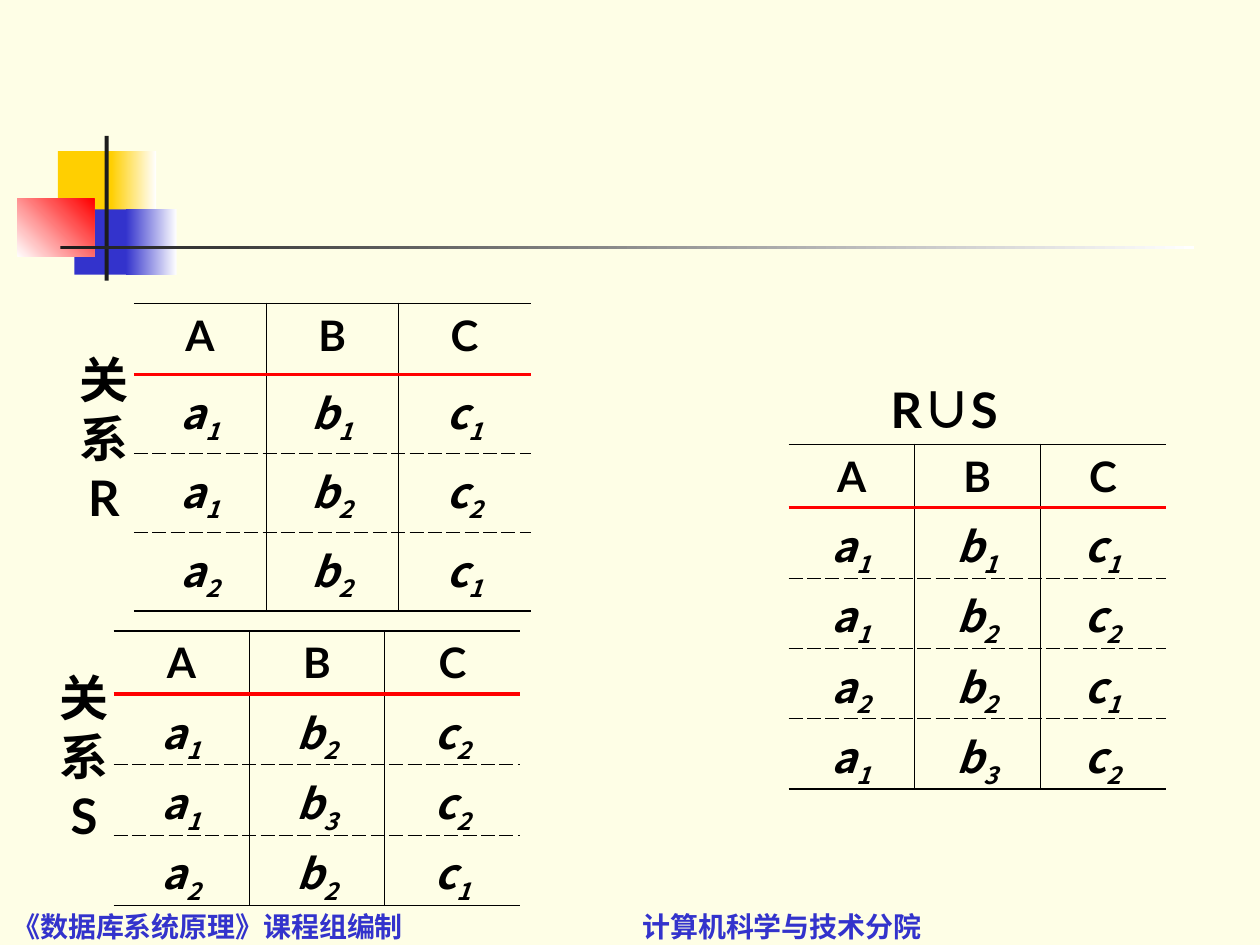
from dataclasses import dataclass

from lxml import etree
from pptx import Presentation
from pptx.dml.color import RGBColor
from pptx.enum.shapes import MSO_SHAPE
from pptx.enum.text import MSO_ANCHOR, PP_ALIGN
from pptx.oxml.ns import qn
from pptx.util import Cm, Pt

RECT = MSO_SHAPE.RECTANGLE
CENTER = PP_ALIGN.CENTER
LEFT = PP_ALIGN.LEFT
BOTTOM = MSO_ANCHOR.BOTTOM
BLANK_LAYOUT = 6
NO_STYLE_NO_GRID = "{2D5ABB26-0587-4C30-8999-92F81FD0307C}"


@dataclass(frozen=True)
class Theme:
    paper: str = "FEFEE6"
    ink: str = "000000"
    charcoal: str = "1C1C1C"
    white: str = "FFFFFF"
    yellow: str = "FFCF01"
    blue: str = "3333CC"
    red: str = "FF0000"
    latin: str = "Lato"
    symbol: str = "Noto Sans CJK KR"
    chinese: str = "Noto Sans CJK SC"
    label_size: int = 28
    cell_size: int = 24
    footer_size: int = 16


THEME = Theme()

# Border kinds: colour, width in points, dash
OUTER = (THEME.ink, 1.08, "solid")
HEAD_RULE = (THEME.red, 2.21, "solid")
ROW_RULE = (THEME.ink, 0.45, "dash")
COL_RULE = (THEME.ink, 0.45, "solid")


def rgb(value):
    return RGBColor.from_string(value)


def set_font(p, size, name, color=THEME.ink, italic=None):
    font = p.font
    font.size, font.name, font.bold, font.italic = Pt(size), name, True, italic
    font.color.rgb = rgb(color)


def add_block(slide, box, start, end=None, angle=0):
    """Rectangle filled with one colour, or fading from start to end."""
    sp = slide.shapes.add_shape(RECT, *map(Cm, box))
    sp.shadow.inherit = False
    sp.line.fill.background()
    if end is None:
        sp.fill.solid()
        sp.fill.fore_color.rgb = rgb(start)
        return
    sp.fill.gradient()
    sp.fill.gradient_angle = angle
    for stop, color in zip(sp.fill.gradient_stops, (start, end)):
        stop.color.rgb = rgb(color)


def add_text(slide, box, lines, size, name, color=THEME.ink, align=CENTER):
    """Text box with one paragraph per line; a line is a list of run texts."""
    tf = slide.shapes.add_textbox(*map(Cm, box)).text_frame
    tf.word_wrap = True
    for i, runs in enumerate(lines):
        p = tf.add_paragraph() if i else tf.paragraphs[0]
        p.alignment = align
        set_font(p, size, name, color)
        for text in runs:
            p.add_run().text = text
    return tf


def set_borders(cell, **edges):
    """Draw the given edges, in the order L, R, T, B."""
    tc_pr = cell._tc.get_or_add_tcPr()
    drawn = [(side, edges[side]) for side in "LRTB" if edges.get(side)]
    for i, (side, (color, width, dash)) in enumerate(drawn):
        ln = etree.Element(qn(f"a:ln{side}"), w=str(Pt(width)))
        fill = etree.SubElement(ln, qn("a:solidFill"))
        etree.SubElement(fill, qn("a:srgbClr"), val=color)
        etree.SubElement(ln, qn("a:prstDash"), val=dash)
        tc_pr.insert(i, ln)


def fill_cell(cell, text, is_head):
    p = cell.text_frame.paragraphs[0]
    p.alignment = CENTER
    p.space_before = Pt(6)
    set_font(p, THEME.cell_size, THEME.latin if is_head else THEME.symbol,
             italic=not is_head)
    p.add_run().text = text[0]
    if not is_head:
        r = p.add_run()
        r.text = text[1]
        r.font._element.set("baseline", "-25000")
    cell.fill.background()


def add_relation(slide, left, top, width, head_height, row_height, tuples):
    """Relation table with attributes A, B, C; a tuple is written like 'a1 b1 c1'."""
    rows = [["A", "B", "C"]] + [t.split() for t in tuples]
    n_rows, n_cols = len(rows), len(rows[0])
    height = head_height + row_height * len(tuples)
    frame = slide.shapes.add_table(n_rows, n_cols, Cm(left), Cm(top), Cm(width), Cm(height))
    table = frame.table
    table.horz_banding = table.first_row = False
    table._tbl.tblPr.find(qn("a:tableStyleId")).text = NO_STYLE_NO_GRID
    rules = [OUTER, HEAD_RULE] + [ROW_RULE] * (n_rows - 2) + [OUTER]
    for i, texts in enumerate(rows):
        table.rows[i].height = Cm(row_height if i else head_height)
        for j, text in enumerate(texts):
            cell = table.cell(i, j)
            fill_cell(cell, text, is_head=i == 0)
            set_borders(cell, T=rules[i], B=rules[i + 1],
                        L=COL_RULE if j else None,
                        R=COL_RULE if j < n_cols - 1 else None)


def add_decoration(slide):
    t = THEME
    add_block(slide, (1.17, 3.05, 1.22, 1.32), t.yellow)
    add_block(slide, (2.24, 3.05, 0.91, 1.32), t.yellow, t.white)
    add_block(slide, (1.5, 4.22, 1.17, 1.32), t.blue)
    add_block(slide, (2.54, 4.22, 1.02, 1.32), t.blue, t.white)
    add_block(slide, (0.35, 4.01, 1.55, 1.17), t.white, t.red, angle=45)
    add_block(slide, (2.11, 2.74, 0.08, 2.92), t.charcoal)
    add_block(slide, (1.22, 4.95, 22.86, 0.08), t.charcoal, t.white)


def add_footer(slide):
    tf = add_text(slide, (0, 18.52, 25.4, 0.61),
                  [["《数据库系统原理》课程组编制\t计算机科学与技术分院"]],
                  THEME.footer_size, THEME.chinese, THEME.blue, LEFT)
    tf.vertical_anchor = BOTTOM
    # East Asian typeface and the stop for the second part
    p_pr = tf.paragraphs[0]._p.pPr
    def_rpr = p_pr.find(qn("a:defRPr"))
    etree.SubElement(def_rpr, qn("a:ea"), typeface=THEME.chinese)
    tabs = etree.Element(qn("a:tabLst"))
    etree.SubElement(tabs, qn("a:tab"), pos=str(Cm(12.7)), algn="l")
    def_rpr.addprevious(tabs)


def main():
    prs = Presentation()
    prs.slide_width, prs.slide_height = Cm(25.4), Cm(19.05)
    slide = prs.slides.add_slide(prs.slide_layouts[BLANK_LAYOUT])
    slide.background.fill.solid()
    slide.background.fill.fore_color.rgb = rgb(THEME.paper)

    add_decoration(slide)
    add_footer(slide)

    # Operands R and S
    add_relation(slide, 2.7, 6.12, 8, 1.43, 1.59,
                 ["a1 b1 c1", "a1 b2 c2", "a2 b2 c1"])
    add_relation(slide, 2.29, 12.72, 8.2, 1.27, 1.42,
                 ["a1 b2 c2", "a1 b3 c2", "a2 b2 c1"])
    for name, left, top in (("R", 1.09, 6.93), ("S", 0.69, 13.33)):
        add_text(slide, (left, top, 2.01, 3.81), [["关系"], [name]],
                 THEME.label_size, THEME.latin)

    # Their union
    add_relation(slide, 15.9, 8.96, 7.6, 1.27, 1.42,
                 ["a1 b1 c1", "a1 b2 c2", "a2 b2 c1", "a1 b3 c2"])
    tf = add_text(slide, (16.51, 7.52, 5.05, 1.45), [["R", "∪", "S"]],
                  THEME.label_size, THEME.latin)
    tf.paragraphs[0].runs[1].font.name = THEME.symbol

    prs.save("out.pptx")


if __name__ == "__main__":
    main()
